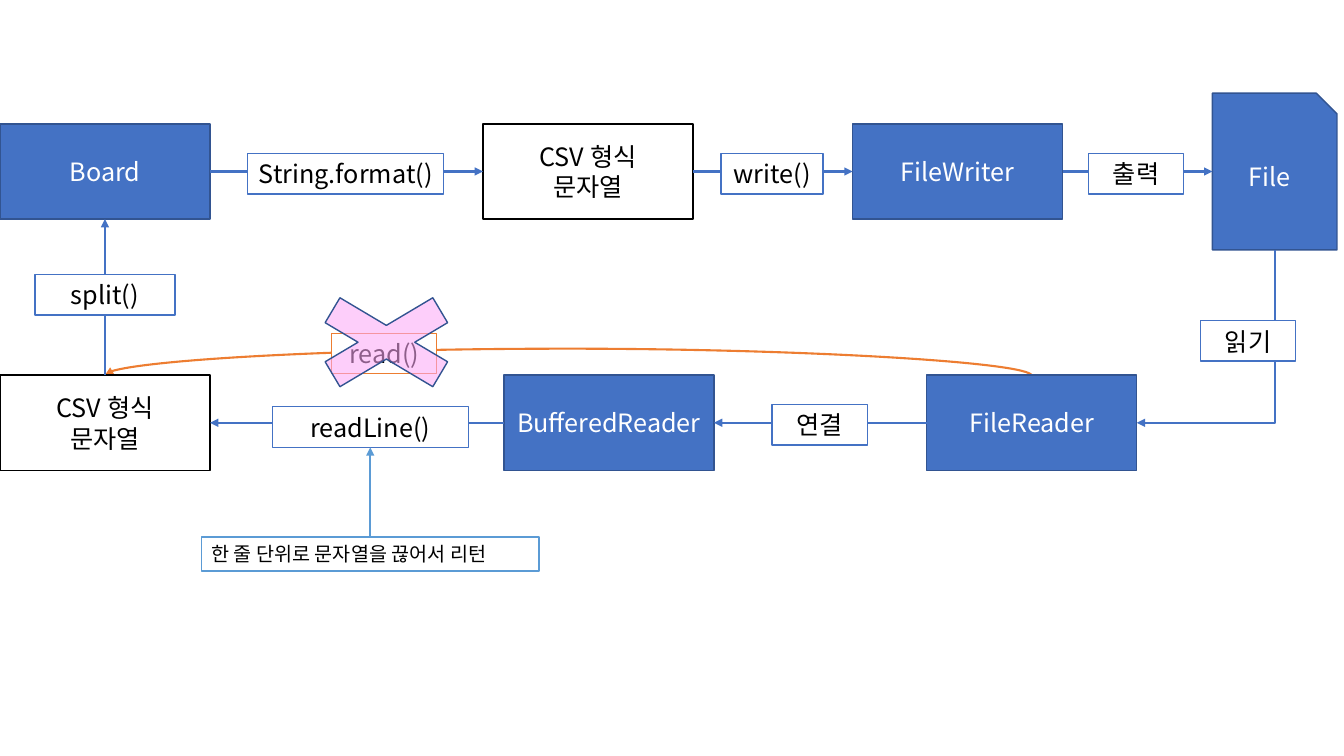
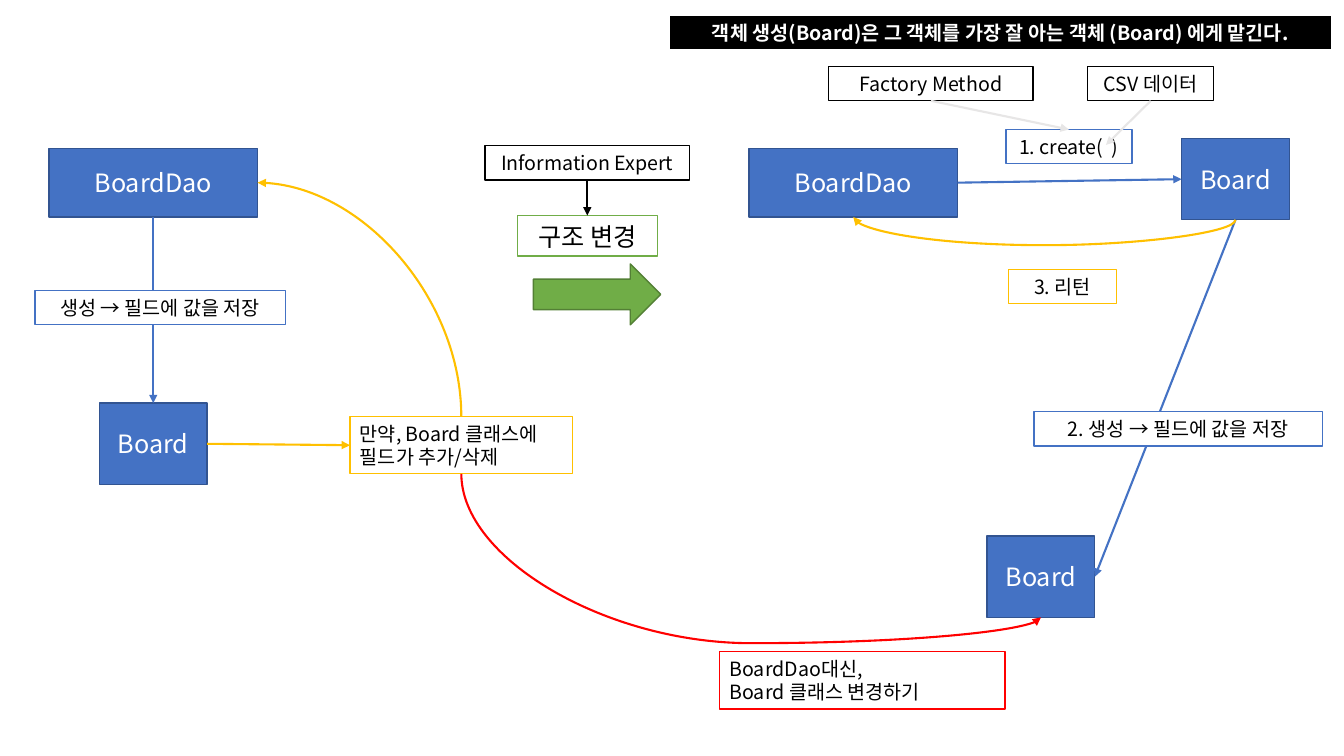
from dataclasses import dataclass

from lxml import etree
from pptx import Presentation
from pptx.dml.color import RGBColor
from pptx.enum.shapes import MSO_CONNECTOR, MSO_SHAPE
from pptx.enum.text import MSO_ANCHOR, PP_ALIGN
from pptx.oxml.ns import qn
from pptx.util import Pt

RECT = MSO_SHAPE.RECTANGLE
SNIPPED = MSO_SHAPE.SNIP_1_RECTANGLE
CROSS = MSO_SHAPE.MATH_MULTIPLY
RIGHT_ARROW = MSO_SHAPE.RIGHT_ARROW
STRAIGHT = MSO_CONNECTOR.STRAIGHT
ELBOW = MSO_CONNECTOR.ELBOW
CURVE = MSO_CONNECTOR.CURVE
MIDDLE = MSO_ANCHOR.MIDDLE
LEFT = PP_ALIGN.LEFT
CENTER = PP_ALIGN.CENTER
TOP_SIDE, LEFT_SIDE, BOTTOM_SIDE, RIGHT_SIDE = range(4)


@dataclass(frozen=True)
class Theme:
    font: str = "Noto Sans CJK KR"
    large: int = 18
    small: int = 14
    thin: float = 1
    thick: float = 1.5
    white: str = "FFFFFF"
    black: str = "000000"
    blue: str = "4472C4"
    blue_edge: str = "325491"
    sky: str = "5B9BD5"
    orange: str = "ED7D31"
    pink: str = "FDA9F7"
    green: str = "70AD47"
    green_edge: str = "538035"
    gold: str = "FFC000"
    red: str = "FF0000"
    gray: str = "E7E6E6"


@dataclass(frozen=True)
class Area:
    left: float
    top: float

    def place(self, x, y, width, height):
        return [Pt(v) for v in (self.left + x, self.top + y, width, height)]


THEME = Theme()
LARGE_LABEL = 29
SMALL_LABEL = 24.5
DOUBLE_LABEL = 41


def rgb(value):
    return RGBColor.from_string(value)


def draw_box(slide, place, fill, edge, form=RECT, width=THEME.thin):
    box = slide.shapes.add_shape(form, *place)
    box.shadow.inherit = False
    box.fill.solid()
    box.fill.fore_color.rgb = rgb(fill)
    box.line.color.rgb = rgb(edge)
    box.line.width = Pt(width)
    return box


def write(box, text, size, color=THEME.black, align=CENTER, bold=False):
    frame = box.text_frame
    frame.word_wrap = True
    frame.vertical_anchor = MIDDLE
    frame.text = text
    for paragraph in frame.paragraphs:
        paragraph.alignment = align
        for run in paragraph.runs:
            run.font.name = THEME.font
            run.font.size = Pt(size)
            run.font.bold = bold
            run.font.color.rgb = rgb(color)
            east_asian = etree.SubElement(run.font._element, qn("a:ea"))
            east_asian.set("typeface", THEME.font)
    return box


def class_box(slide, place, name, form=RECT):
    box = draw_box(slide, place, THEME.blue, THEME.blue_edge, form)
    return write(box, name, THEME.large, THEME.white)


def csv_box(slide, place):
    box = draw_box(slide, place, THEME.white, THEME.black)
    return write(box, "CSV 형식\n문자열", THEME.large)


def label(slide, place, text, edge=THEME.blue, size=THEME.large, align=CENTER):
    box = draw_box(slide, place, THEME.white, edge)
    return write(box, text, size, align=align)


def small_label(slide, place, text, edge=THEME.blue, align=CENTER):
    return label(slide, place, text, edge, THEME.small, align)


def side_point(box, side):
    middle_x = box.left + box.width // 2
    middle_y = box.top + box.height // 2
    return {
        TOP_SIDE: (middle_x, box.top),
        LEFT_SIDE: (box.left, middle_y),
        BOTTOM_SIDE: (middle_x, box.top + box.height),
        RIGHT_SIDE: (box.left + box.width, middle_y),
    }[side]


def arrow(slide, start, end, color, kind=STRAIGHT):
    connector = slide.shapes.add_connector(kind, *start, *end)
    connector.line.color.rgb = rgb(color)
    connector.line.width = Pt(THEME.thick)
    head = etree.SubElement(connector.line._get_or_add_ln(), qn("a:tailEnd"))
    head.set("type", "triangle")
    etree.SubElement(connector._element.spPr, qn("a:effectLst"))
    return connector


def link(slide, source, source_side, target, target_side, color=THEME.blue):
    connector = arrow(slide, side_point(source, source_side),
                      side_point(target, target_side), color)
    if source.auto_shape_type == RECT:
        connector.begin_connect(source, source_side)
    if target.auto_shape_type == RECT:
        connector.end_connect(target, target_side)


def turning_arrow(slide, start, end, color, kind=CURVE, downward=False, bend=None):
    connector = arrow(slide, start, end, color, kind)
    run_x, run_y = end[0] - start[0], end[1] - start[1]
    quarter = 90 if downward and run_x < 0 else 270
    flip_h = run_y < 0 if quarter == 90 else run_y > 0
    flip_v = run_x > 0 if quarter == 90 else run_x < 0
    connector.width, connector.height = abs(run_y), abs(run_x)
    connector.left = (start[0] + end[0] - abs(run_y)) // 2
    connector.top = (start[1] + end[1] - abs(run_x)) // 2
    frame = connector._element.spPr.find(qn("a:xfrm"))
    frame.set("rot", str(quarter * 60000))
    frame.set("flipH", str(int(flip_h)))
    frame.set("flipV", str(int(flip_v)))
    geometry = connector._element.spPr.find(qn("a:prstGeom"))
    if bend is None:
        geometry.set("prst", geometry.get("prst").replace("3", "2"))
    else:
        share = round((bend - start[1]) / run_y * 100000)
        guide = etree.SubElement(geometry.find(qn("a:avLst")), qn("a:gd"))
        guide.set("name", "adj1")
        guide.set("fmla", f"val {share}")


def write_flow(slide, area):
    board = class_box(slide, area.place(0, 22, 150, 68), "Board")
    csv = csv_box(slide, area.place(345, 22, 150, 68))
    writer = class_box(slide, area.place(609, 22, 150, 68), "FileWriter")
    file = class_box(slide, area.place(866, 0, 89, 112), "File", SNIPPED)
    steps = [board, csv, writer, file]
    for source, target in zip(steps, steps[1:]):
        link(slide, source, RIGHT_SIDE, target, LEFT_SIDE)
    for x, width, text in ((177, 140, "String.format()"), (515, 73, "write()"),
                           (777.5, 68, "출력")):
        label(slide, area.place(x, 43, width, LARGE_LABEL), text)
    return board, file


def read_flow(slide, area, board, file):
    row = 72
    curve_start = area.place(737, row + 0.5, 0, 0)[:2]
    curve_end = area.place(75, row, 0, 0)[:2]
    turning_arrow(slide, curve_start, curve_end, THEME.orange,
                  bend=Pt(area.top + 53.5))
    reader = class_box(slide, area.place(662, row, 150, 68), "FileReader")
    buffered = class_box(slide, area.place(360, row, 150, 68), "BufferedReader")
    csv = csv_box(slide, area.place(0, row, 150, 68))
    turning_arrow(slide, side_point(file, BOTTOM_SIDE),
                  side_point(reader, RIGHT_SIDE), THEME.blue, ELBOW, downward=True)
    link(slide, reader, LEFT_SIDE, buffered, RIGHT_SIDE)
    link(slide, buffered, LEFT_SIDE, csv, RIGHT_SIDE)
    link(slide, csv, TOP_SIDE, board, BOTTOM_SIDE)
    for x, y, width, text in ((857.5, 33, 68, "읽기"), (551.5, 93, 68, "연결"),
                              (25, 0, 100, "split()")):
        label(slide, area.place(x, y, width, LARGE_LABEL), text)
    read_line = label(slide, area.place(194.5, 94.5, 140, LARGE_LABEL), "readLine()")
    label(slide, area.place(237, 42, 75, LARGE_LABEL), "read()", THEME.orange)
    cross = draw_box(slide, area.place(202, 4.5, 148, 88), THEME.pink,
                     THEME.blue_edge, CROSS)
    tint = cross.fill._xPr.find(qn("a:solidFill"))[0]
    etree.SubElement(tint, qn("a:alpha")).set("val", "56000")
    note = small_label(slide, area.place(144, 187.5, 241, SMALL_LABEL),
                       "한 줄 단위로 문자열을 끊어서 리턴", THEME.sky, LEFT)
    arrow(slide, side_point(note, TOP_SIDE), side_point(read_line, BOTTOM_SIDE),
          THEME.sky)


def before_design(slide, area):
    dao = class_box(slide, area.place(10, 0, 149, 49), "BoardDao")
    board = class_box(slide, area.place(46, 182, 77, 58), "Board")
    link(slide, dao, BOTTOM_SIDE, board, TOP_SIDE)
    small_label(slide, area.place(0, 101.5, 179, SMALL_LABEL), "생성 → 필드에 값을 저장")
    change = small_label(slide, area.place(225, 191.5, 159, DOUBLE_LABEL),
                         "만약, Board 클래스에\n필드가 추가/삭제", THEME.gold, LEFT)
    link(slide, board, RIGHT_SIDE, change, LEFT_SIDE, THEME.gold)
    turning_arrow(slide, side_point(change, TOP_SIDE), side_point(dao, RIGHT_SIDE),
                  THEME.gold)
    return change


def restructure_cue(slide, area):
    expert = small_label(slide, area.place(0, 0, 146, SMALL_LABEL),
                         "Information Expert", THEME.black)
    restructure = label(slide, area.place(23, 50, 100, LARGE_LABEL), "구조 변경",
                        THEME.green)
    draw_box(slide, area.place(34.5, 84.5, 91, 43.5), THEME.green,
             THEME.green_edge, RIGHT_ARROW)
    link(slide, expert, BOTTOM_SIDE, restructure, TOP_SIDE, THEME.black)


def after_design(slide, area):
    dao = class_box(slide, area.place(21, 58.5, 149, 49), "BoardDao")
    created = class_box(slide, area.place(191, 335.5, 77, 58), "Board")
    factory = class_box(slide, area.place(330, 51.5, 77, 58), "Board")
    link(slide, dao, RIGHT_SIDE, factory, LEFT_SIDE)
    link(slide, factory, BOTTOM_SIDE, created, RIGHT_SIDE)
    small_label(slide, area.place(224.5, 246.5, 206, SMALL_LABEL),
                "2. 생성 → 필드에 값을 저장")
    create = small_label(slide, area.place(204.5, 45, 90, SMALL_LABEL), "1. create(  )")
    turning_arrow(slide, side_point(factory, BOTTOM_SIDE),
                  side_point(dao, BOTTOM_SIDE), THEME.gold, downward=True,
                  bend=Pt(area.top + 127.5))
    small_label(slide, area.place(206.5, 145, 77, SMALL_LABEL), "3. 리턴", THEME.gold)
    small_label(slide, area.place(0, 418, 204, DOUBLE_LABEL),
                "BoardDao대신,\nBoard 클래스 변경하기", THEME.red, LEFT)
    csv = small_label(slide, area.place(263, 0, 90, SMALL_LABEL), "CSV 데이터",
                      THEME.black)
    arrow(slide, side_point(csv, BOTTOM_SIDE), area.place(276, 56, 0, 0)[:2],
          THEME.gray)
    method = small_label(slide, area.place(78, 0, 146, SMALL_LABEL),
                         "Factory Method", THEME.black)
    link(slide, method, BOTTOM_SIDE, create, TOP_SIDE, THEME.gray)
    return created


def principle_banner(slide, area):
    banner = draw_box(slide, area.place(0, 0, 474, SMALL_LABEL), THEME.black,
                      THEME.white, width=THEME.thick)
    write(banner, "객체 생성(Board)은 그 객체를 가장 잘 아는 객체 (Board) 에게 맡긴다.",
          THEME.small, THEME.white, bold=True)


def file_flow_slide(slide):
    board, file = write_flow(slide, Area(0, 66.5))
    read_flow(slide, Area(0, 196), board, file)


def factory_slide(slide):
    change = before_design(slide, Area(25, 106))
    restructure_cue(slide, Area(346.5, 104))
    created = after_design(slide, Area(514, 47.5))
    turning_arrow(slide, side_point(change, BOTTOM_SIDE),
                  side_point(created, BOTTOM_SIDE), THEME.red, downward=True,
                  bend=Pt(459.5))
    principle_banner(slide, Area(477.5, 11))


def main():
    deck = Presentation()
    deck.slide_width, deck.slide_height = Pt(960), Pt(540)
    blank = deck.slide_layouts[6]
    for build in (file_flow_slide, factory_slide):
        build(deck.slides.add_slide(blank))
    deck.save("out.pptx")


if __name__ == "__main__":
    main()
